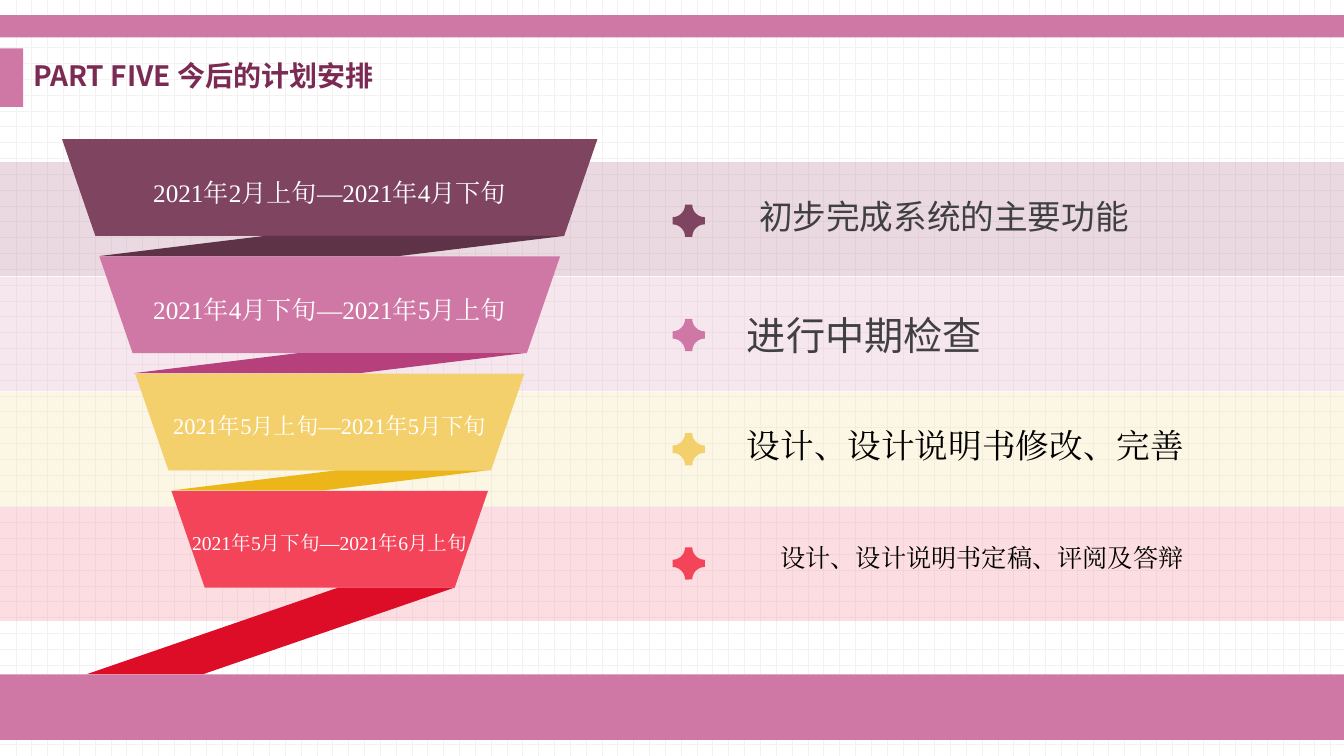
from dataclasses import dataclass

from lxml import etree
from pptx import Presentation
from pptx.dml.color import RGBColor
from pptx.enum.dml import MSO_PATTERN
from pptx.enum.shapes import MSO_SHAPE
from pptx.enum.text import MSO_ANCHOR, PP_ALIGN
from pptx.oxml.ns import qn
from pptx.util import Inches, Pt

RECTANGLE = MSO_SHAPE.RECTANGLE
TRAPEZOID = MSO_SHAPE.TRAPEZOID
PARALLELOGRAM = MSO_SHAPE.PARALLELOGRAM
PLAQUE = MSO_SHAPE.PLAQUE
DOTTED_GRID = MSO_PATTERN.DOTTED_GRID
TOP, MIDDLE = MSO_ANCHOR.TOP, MSO_ANCHOR.MIDDLE
LEFT, CENTER, JUSTIFY = PP_ALIGN.LEFT, PP_ALIGN.CENTER, PP_ALIGN.JUSTIFY


@dataclass(frozen=True)
class Theme:
    """Colours, fonts and type sizes of the slide."""
    sans: str = "Noto Sans CJK SC"
    serif: str = "Times New Roman"
    white: str = "FFFFFF"
    grid: str = "F2F2F2"
    black: str = "000000"
    gray: str = "404040"
    pink: str = "D078A5"
    title: str = "7A2A53"
    levels: tuple = ("7E4460", "D078A5", "F3D06C", "F4445A")
    folds: tuple = ("5E3348", "B6407C", "ECB61B", "DD0D27")
    bands: tuple = ("BD849F", "E3AEC9", "F8E3A7", "F88F9C")
    title_size: int = 20
    date_sizes: tuple = (18, 18, 16, 14)
    task_sizes: tuple = (24, 28, 24, 18)


THEME = Theme()
SLIDE_WIDTH, SLIDE_HEIGHT = 13.33, 7.5
FUNNEL_CENTER, LEVEL_HEIGHT = 3.27, 0.96
LEVEL_WIDTHS = (5.31, 4.57, 3.86, 3.14)
LEVEL_TOPS = [1.38 + 1.163 * row for row in range(4)]
FOLDS = (
    (0.99, 4.61, 0.2, 8.193),
    (1.32, 3.88, 0.2, 8.193),
    (1.7, 3.14, 0.2, 8.193),
    (0.86, 3.65, 0.86, 2.903),
)
DATES = (
    ("2021年2月上旬—2021年4月下旬", 3.74, 0.45),
    ("2021年4月下旬—2021年5月上旬", 3.74, 0.45),
    ("2021年5月上旬—2021年5月下旬", 3.34, 0.41),
    ("2021年5月下旬—2021年6月上旬", 2.95, 0.37),
)
TASKS = (
    ("初步完成系统的主要功能", (7.43, 1.77, 4.41, 0.57),
     {"font": THEME.sans, "color": THEME.gray}),
    ("进行中期检查", (7.31, 2.9, 4.41, 0.65),
     {"font": THEME.sans, "color": THEME.gray}),
    ("设计、设计说明书修改、完善", (7.31, 4.05, 5.02, 0.57), {}),
    ("设计、设计说明书定稿、评阅及答辩", (7.31, 5.18, 5.02, 0.5),
     {"align": JUSTIFY, "indent": 0.33, "line_spacing": 1.5}),
)


def add_block(slide, kind, box, color, adjustment=None, rotation=0, opacity=None):
    """Add a flat preset shape without an outline."""
    shape = slide.shapes.add_shape(kind, *(Inches(length) for length in box))
    shape.shadow.inherit = False
    shape.line.fill.background()
    shape.fill.solid()
    shape.fill.fore_color.rgb = RGBColor.from_string(color)
    shape.rotation = rotation
    if adjustment is not None:
        shape.adjustments[0] = adjustment
    if opacity is not None:
        color_element = shape.fill._xPr.find(".//" + qn("a:srgbClr"))
        etree.SubElement(color_element, qn("a:alpha"), val=str(opacity * 1000))
    return shape


def add_text(slide, text, box, size, font=THEME.serif, color=THEME.black, bold=False,
             align=LEFT, anchor=TOP, line_spacing=1.3, space_before=0, indent=0):
    """Add a wrapping text box with one formatted paragraph."""
    frame = slide.shapes.add_textbox(*(Inches(length) for length in box)).text_frame
    frame.word_wrap = True
    frame.vertical_anchor = anchor
    paragraph = frame.paragraphs[0]
    paragraph.alignment = align
    paragraph.line_spacing = line_spacing
    paragraph.space_before = Pt(space_before)
    if indent:
        paragraph._p.get_or_add_pPr().set("indent", str(Inches(indent)))
    run = paragraph.add_run()
    run.text = text
    run.font.name = font
    run.font.size = Pt(size)
    run.font.bold = bold
    run.font.color.rgb = RGBColor.from_string(color)
    etree.SubElement(run._r.get_or_add_rPr(), qn("a:ea"), typeface=font)


def add_backdrop(slide):
    """Add the grid background, the frame bars and the tinted bands."""
    fill = slide.background.fill
    fill.patterned()
    fill.pattern = DOTTED_GRID
    fill.fore_color.rgb = RGBColor.from_string(THEME.grid)
    fill.back_color.rgb = RGBColor.from_string(THEME.white)
    for box in ((0, 6.69, SLIDE_WIDTH, 0.65), (0, 0.15, SLIDE_WIDTH, 0.22),
                (0, 0.48, 0.23, 0.58)):
        add_block(slide, RECTANGLE, box, THEME.pink)
    for row, color in enumerate(THEME.bands):
        add_block(slide, RECTANGLE, (0, 1.61 + 1.14 * row, SLIDE_WIDTH, 1.13),
                  color, opacity=30)


def add_funnel(slide):
    """Add the ribbon funnel with a period on each level."""
    for top, width, color in zip(LEVEL_TOPS, LEVEL_WIDTHS, THEME.levels):
        add_block(slide, TRAPEZOID, (FUNNEL_CENTER - width / 2, top, width, LEVEL_HEIGHT),
                  color, adjustment=0.344, rotation=180)
    for top, (left, width, height, slant), color in zip(LEVEL_TOPS, FOLDS, THEME.folds):
        add_block(slide, PARALLELOGRAM, (left, top + LEVEL_HEIGHT, width, height),
                  color, adjustment=slant)
    for top, (text, width, height), size in zip(LEVEL_TOPS, DATES, THEME.date_sizes):
        box = (FUNNEL_CENTER - width / 2, top + (LEVEL_HEIGHT - height) / 2, width, height)
        add_text(slide, text, box, size, color=THEME.white, align=CENTER, anchor=MIDDLE)


def add_tasks(slide):
    """Add the task of each period with its star marker."""
    for row, (text, box, style) in enumerate(TASKS):
        add_text(slide, text, box, THEME.task_sizes[row], **style)
        add_block(slide, PLAQUE, (6.67, 2.03 + 1.133 * row, 0.32, 0.32),
                  THEME.levels[row], adjustment=0.389)


def main():
    """Build the plan slide and save it."""
    presentation = Presentation()
    presentation.slide_width = Inches(SLIDE_WIDTH)
    presentation.slide_height = Inches(SLIDE_HEIGHT)
    slide = presentation.slides.add_slide(presentation.slide_layouts[6])
    add_backdrop(slide)
    add_text(slide, "PART FIVE 今后的计划安排", (0.23, 0.48, 5.32, 0.58), THEME.title_size,
             font=THEME.sans, color=THEME.title, bold=True, anchor=MIDDLE,
             line_spacing=0.9, space_before=10)
    add_funnel(slide)
    add_tasks(slide)
    presentation.save("out.pptx")


if __name__ == "__main__":
    main()
